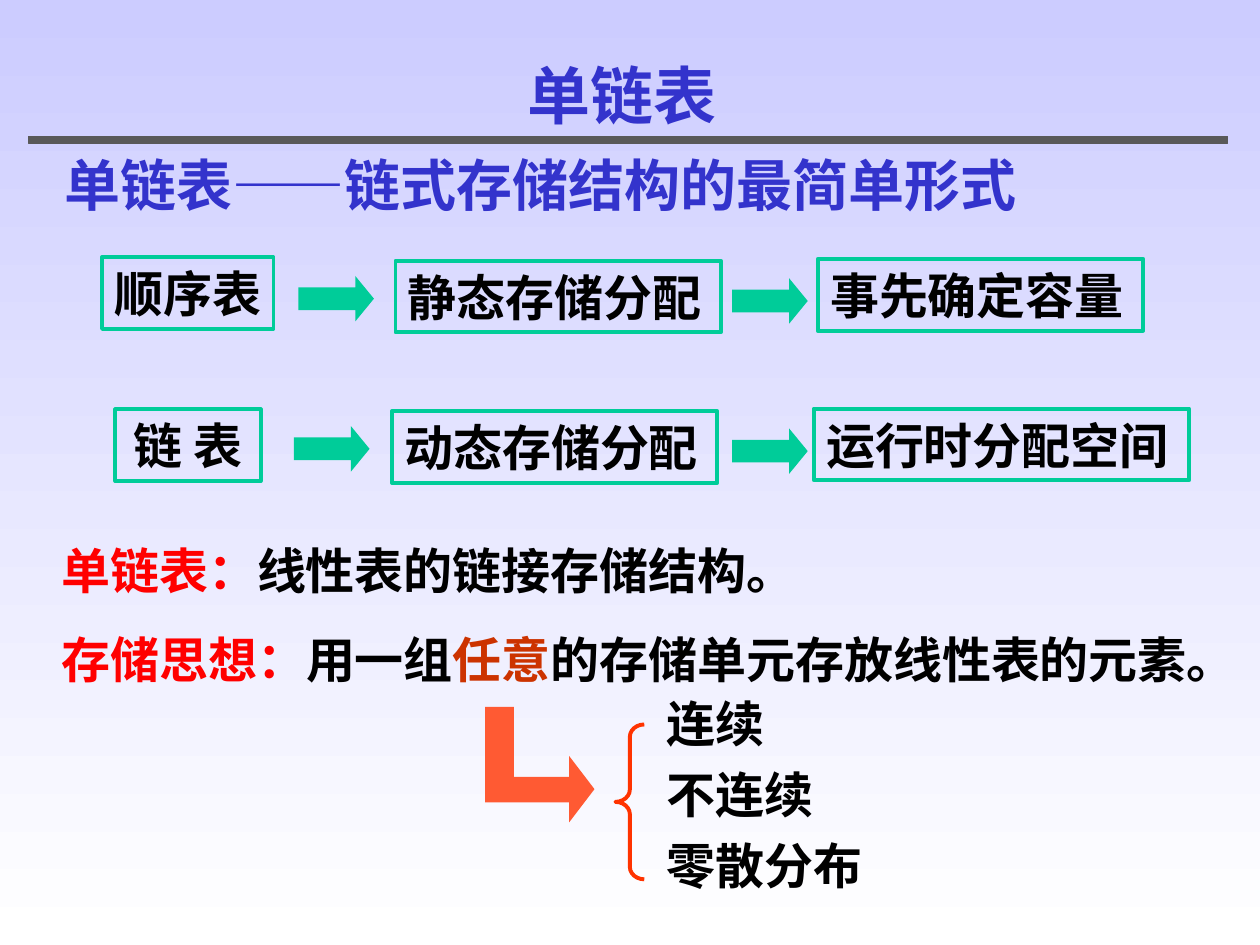
import pptx
import pptx.dml.color
import pptx.enum.shapes
import pptx.enum.text
import pptx.oxml.ns
import pptx.util
from lxml import etree

Pt = pptx.util.Pt
SHAPE = pptx.enum.shapes.MSO_SHAPE
ALIGN = pptx.enum.text.PP_ALIGN
ANCHOR = pptx.enum.text.MSO_ANCHOR

COLORS = {
    "sky": "CCCCFF", "white": "FFFFFF", "bar": "595959", "blue": "3333CC",
    "green": "00CC99", "black": "000000", "red": "FF0000", "rust": "CC3300",
    "brace": "FF3300", "bend": "FF5A33",
}
CJK = "Noto Sans CJK SC"
BODY_SIZE, BODY_LINE = 28, 33.6


def rgb(name):
    """Return the named colour."""
    return pptx.dml.color.RGBColor.from_string(COLORS[name])


def style(sp, fill=None, line=None, width=2.25):
    """Set the fill and outline of a shape and drop its shadow."""
    sp.shadow.inherit = False
    if fill:
        sp.fill.solid()
        sp.fill.fore_color.rgb = rgb(fill)
    else:
        sp.fill.background()
    if line:
        sp.line.color.rgb = rgb(line)
        sp.line.width = Pt(width)
    else:
        sp.line.fill.background()


def write(sp, paragraphs, size=BODY_SIZE, font=CJK, align=ALIGN.LEFT,
          anchor=ANCHOR.MIDDLE, spacing=BODY_LINE, gap=0, wrap=True):
    """Fill a shape with paragraphs, each a list of (text, colour) runs."""
    tf = sp.text_frame
    tf.word_wrap = wrap
    tf.auto_size = pptx.enum.text.MSO_AUTO_SIZE.NONE
    tf.vertical_anchor = anchor
    tf.margin_left = tf.margin_right = Pt(7.2)
    tf.margin_top = tf.margin_bottom = Pt(3.6)
    for i, runs in enumerate(paragraphs):
        p = tf.add_paragraph() if i else tf.paragraphs[0]
        p.alignment = align
        p.line_spacing = Pt(spacing) if spacing > 2 else spacing
        p.space_before = Pt(gap if i else 0)
        for text, color in runs:
            r = p.add_run()
            r.text = text
            r.font.size, r.font.bold, r.font.name = Pt(size), True, font
            r.font.color.rgb = rgb(color)
            ea = etree.SubElement(r.font._element, pptx.oxml.ns.qn("a:ea"))
            ea.set("typeface", CJK)


def add_text(slide, box, paragraphs, **options):
    """Add a text box with formatted paragraphs."""
    sp = slide.shapes.add_textbox(*map(Pt, box))
    write(sp, paragraphs, **options)


def add_background(slide):
    """Paint the vertical gradient."""
    fill = slide.background.fill
    fill.gradient()
    fill.gradient_angle = 270
    for stop, name in zip(fill.gradient_stops, ("sky", "white")):
        stop.color.rgb = rgb(name)


def add_header(slide, left, top, width):
    """Place the title, the bar under it and the subtitle."""
    bar = slide.shapes.add_shape(SHAPE.RECTANGLE, Pt(left), Pt(top + 49), Pt(width), Pt(4.2))
    style(bar, "bar", "bar", 0.5)
    title = slide.shapes.title
    title.left, title.top, title.width, title.height = map(Pt, (left + 54, top, 570, 50))
    write(title, [[("单链表", "blue")]], size=36, font="Times New Roman",
          align=ALIGN.CENTER, spacing=1.0)
    add_text(slide, (left + 13, top + 53, 672, 52),
             [[("单链表——链式存储结构的最简单形式", "blue")]],
             size=32, font="Arial", spacing=0.9)


def add_flow(slide, boxes, arrows):
    """Place one row of outlined boxes joined by block arrows."""
    for i, (text, left, top, width) in enumerate(boxes):
        sp = slide.shapes.add_shape(SHAPE.RECTANGLE, Pt(left), Pt(top), Pt(width), Pt(41))
        style(sp, line="green")
        write(sp, [[(text, "black")]], font=CJK if i else "Arial",
              align=ALIGN.LEFT if i else ALIGN.CENTER, wrap=i > 0)
    for left, top in arrows:
        sp = slide.shapes.add_shape(SHAPE.RIGHT_ARROW, Pt(left), Pt(top), Pt(43.2), Pt(26))
        sp.adjustments[1] = 0.41
        style(sp, "green")


def add_definitions(slide, box):
    """Place the definition and the storage idea."""
    add_text(slide, box, [
        [("单链表：", "red"), ("线性表的链接存储结构。", "black")],
        [("存储思想：", "red"), ("用一组", "black"), ("任意", "rust"),
         ("的存储单元存放线性表的元素。", "black")],
    ], anchor=ANCHOR.TOP, gap=17.5)


def add_cases(slide, left, top):
    """Place the bent arrow, the brace and the three cases."""
    outline = [(0, 0), (16.5, 0), (16.5, 40), (48, 40), (48, 28),
               (62.5, 47), (48, 66), (48, 54.5), (0, 54.5)]
    points = [(Pt(left + x), Pt(top + y)) for x, y in outline]
    fb = slide.shapes.build_freeform(*points[0])
    fb.add_line_segments(points[1:], close=True)
    style(fb.convert_to_shape(), "bend")
    brace = slide.shapes.add_shape(SHAPE.LEFT_BRACE, Pt(left + 74.5), Pt(top + 10),
                                   Pt(16.5), Pt(88.5))
    brace.adjustments[0] = 0.43
    style(brace, line="brace")
    add_text(slide, (left + 96.5, top - 11.5, 164, 122.5),
             [[(text, "black")] for text in ("连续", "不连续", "零散分布")],
             anchor=ANCHOR.TOP, gap=7)


def main():
    """Build and save the slide."""
    prs = pptx.Presentation()
    prs.slide_width, prs.slide_height = Pt(720), Pt(540)
    slide = prs.slides.add_slide(prs.slide_layouts[5])
    add_background(slide)
    add_header(slide, 16.5, 28.8, 685)
    add_flow(slide, [("顺序表", 58.3, 147, 98), ("静态存储分配", 226, 149, 186),
                     ("事先确定容量", 467.3, 148, 186)],
             [(170.5, 157.7), (418.4, 159)])
    add_flow(slide, [("链 表", 66, 234, 83), ("动态存储分配", 224, 235, 186),
                     ("运行时分配空间", 465, 233.5, 214.5)],
             [(168, 243.5), (418.4, 244.8)])
    add_definitions(slide, (28, 305.3, 692, 92))
    add_cases(slide, 277.2, 404)
    prs.save("out.pptx")


if __name__ == "__main__":
    main()
